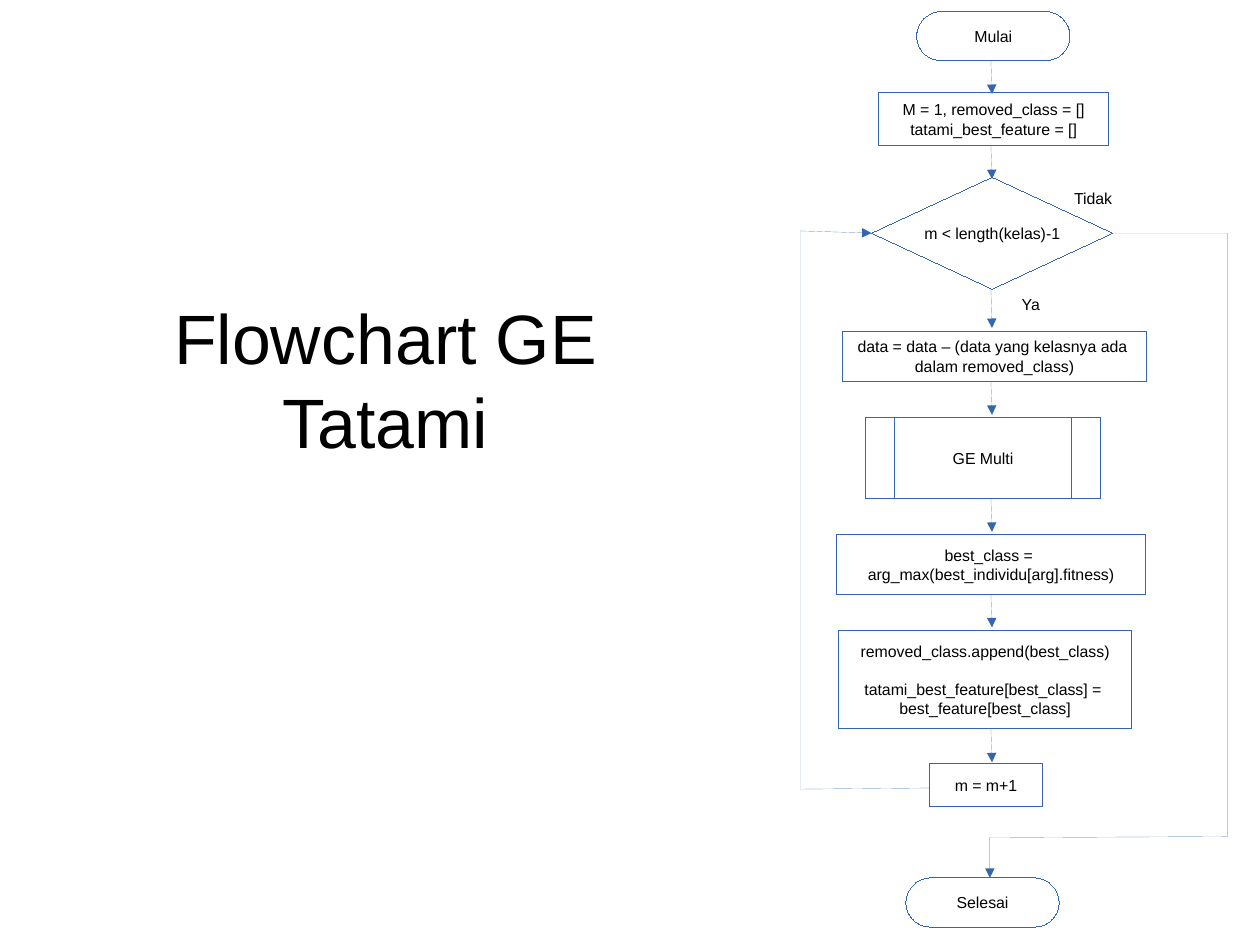
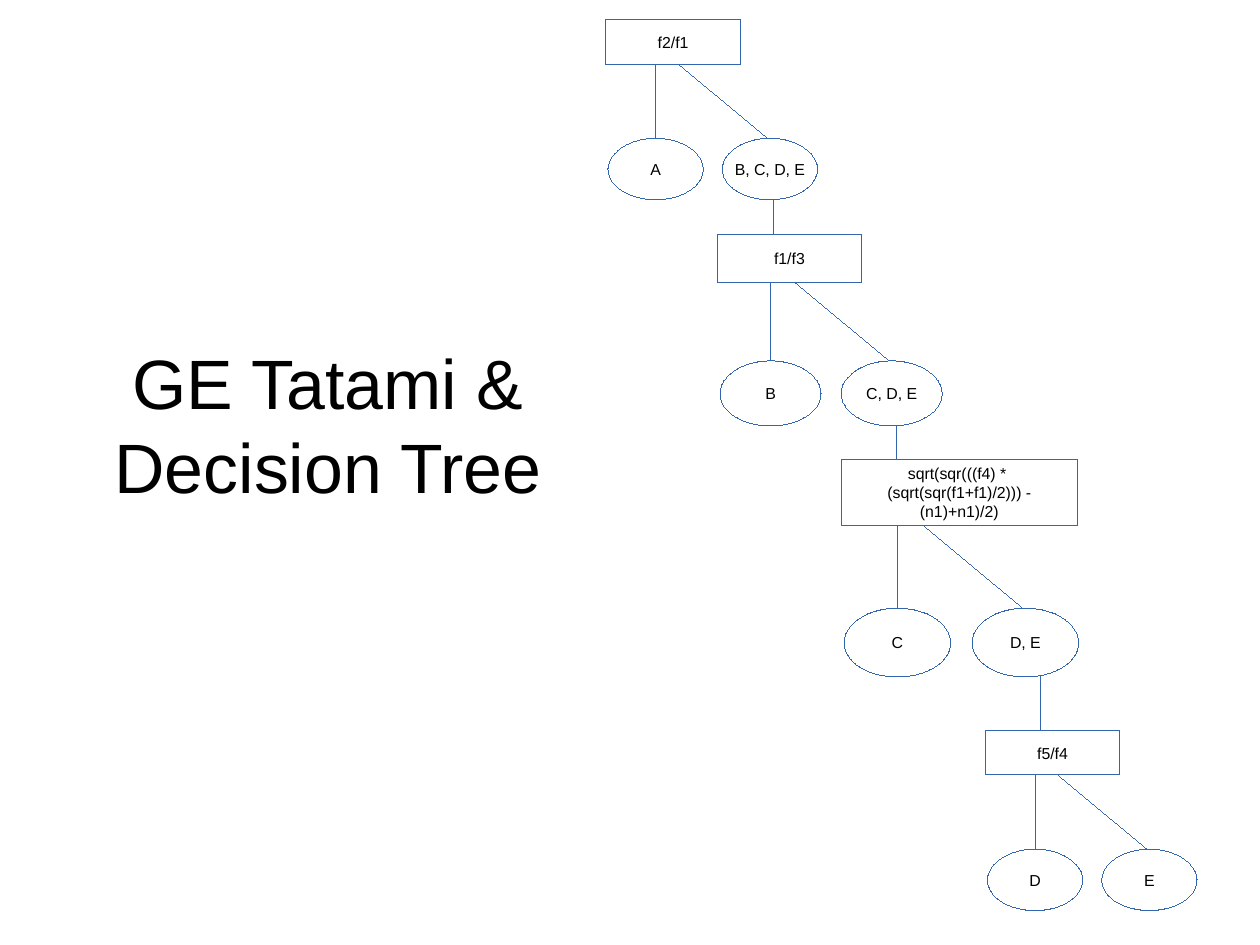
from itertools import pairwise

from pptx import Presentation
from pptx.dml.color import RGBColor
from pptx.enum.shapes import MSO_CONNECTOR, MSO_SHAPE
from pptx.enum.text import MSO_ANCHOR, MSO_AUTO_SIZE, PP_ALIGN
from pptx.oxml.ns import qn
from pptx.util import Pt
from lxml.etree import SubElement

BLACK = RGBColor(0x00, 0x00, 0x00)
BLUE = RGBColor(0x34, 0x65, 0xAF)
FONT = "Arial"
TITLE_SIZE, LABEL_SIZE = 44, 10
PARAGRAPH_GAP = 11.5

# Flowchart steps: shape, left, top, width, height, text
STEPS = [
    (MSO_SHAPE.FLOWCHART_TERMINATOR, 73.5, 0.2, 96.5, 31, "Mulai"),
    (MSO_SHAPE.FLOWCHART_PROCESS, 49.5, 51.3, 144.7, 33.5,
     "M = 1, removed_class = []\vtatami_best_feature = []"),
    (MSO_SHAPE.FLOWCHART_DECISION, 45, 104.6, 152, 70.5, "m < length(kelas)-1"),
    (MSO_SHAPE.FLOWCHART_PROCESS, 26.7, 201.6, 191.5, 31.5,
     "data = data – (data yang kelasnya ada \vdalam removed_class)"),
    (MSO_SHAPE.FLOWCHART_PREDEFINED_PROCESS, 41, 256.3, 148.5, 50.5, "GE Multi"),
    (MSO_SHAPE.FLOWCHART_PROCESS, 23, 330, 194.5, 37.2,
     "best_class = \varg_max(best_individu[arg].fitness)"),
    (MSO_SHAPE.FLOWCHART_PROCESS, 24, 390.2, 185, 62,
     "removed_class.append(best_class)\n"
     "tatami_best_feature[best_class] = \vbest_feature[best_class]"),
    (MSO_SHAPE.FLOWCHART_PROCESS, 81.5, 473.8, 71.2, 27.2, "m = m+1"),
]
FINISH = (MSO_SHAPE.FLOWCHART_TERMINATOR, 66.7, 546, 96.5, 31, "Selesai")
DECISION, INCREMENT = STEPS[2], STEPS[-1]

# Decision tree levels: left, top, width, height, scale, test, leaf, remainder
LEVELS = [
    (0, 0, 85, 28.2, 1, "f2/f1", "A", "B, C, D, E"),
    (70.5, 135.4, 90.5, 30.2, 1.06, "f1/f3", "B", "C, D, E"),
    (148.5, 277.4, 148.5, 41.2, 1.12,
     "sqrt(sqr(((f4) * \v(sqrt(sqr(f1+f1)/2))) -\v(n1)+n1)/2)", "C", "D, E"),
    (239, 447.8, 85, 28.2, 1, "f5/f4", "D", "E"),
]


def write(frame, text, size, align):
    """Fill a frame; a newline starts a paragraph, a vertical tab breaks a line."""
    for index, content in enumerate(text.split("\n")):
        paragraph = frame.add_paragraph() if index else frame.paragraphs[0]
        paragraph.text = content
        paragraph.alignment = align
        if index:
            paragraph.space_before = Pt(PARAGRAPH_GAP)
        paragraph.font.name = FONT
        paragraph.font.size = Pt(size)
        paragraph.font.color.rgb = BLACK


def add_title(slide, left, top, width, height, text):
    title = slide.shapes.add_textbox(Pt(left), Pt(top), Pt(width), Pt(height))
    frame = title.text_frame
    frame.word_wrap = True
    frame.auto_size = MSO_AUTO_SIZE.SHAPE_TO_FIT_TEXT
    frame.vertical_anchor = MSO_ANCHOR.MIDDLE
    frame.margin_left = frame.margin_right = frame.margin_top = frame.margin_bottom = 0
    write(frame, text, TITLE_SIZE, PP_ALIGN.CENTER)


def add_label(slide, left, top, width, height, text):
    label = slide.shapes.add_textbox(Pt(left), Pt(top), Pt(width), Pt(height))
    label.text_frame.word_wrap = True
    write(label.text_frame, text, LABEL_SIZE, PP_ALIGN.LEFT)


def style_line(shape, arrow):
    """Give a hairline; its zero width must be written out to override the theme."""
    shape.line.color.rgb = BLUE
    outline = shape.element.spPr.find(qn("a:ln"))
    outline.set("w", "0")
    if arrow:
        SubElement(outline, qn("a:tailEnd"), type="triangle")


def add_node(slide, kind, left, top, width, height, text):
    node = slide.shapes.add_shape(kind, Pt(left), Pt(top), Pt(width), Pt(height))
    node.shadow.inherit = False
    node.fill.background()
    style_line(node, arrow=False)
    node.text_frame.word_wrap = False
    node.text_frame.vertical_anchor = MSO_ANCHOR.MIDDLE
    write(node.text_frame, text, LABEL_SIZE, PP_ALIGN.CENTER)


def add_link(slide, x1, y1, x2, y2, arrow=False):
    link = slide.shapes.add_connector(
        MSO_CONNECTOR.STRAIGHT, Pt(x1), Pt(y1), Pt(x2), Pt(y2))
    style_line(link, arrow)
    SubElement(link.element.spPr, qn("a:effectLst"))


def add_route(slide, points):
    """Draw a bent arrow through the points."""
    start, *bends = [(Pt(x), Pt(y)) for x, y in points]
    builder = slide.shapes.build_freeform(*start)
    builder.add_line_segments(bends, close=False)
    route = builder.convert_to_shape()
    route.shadow.inherit = False
    route.fill.background()
    style_line(route, arrow=True)


def add_flowchart(slide, left, top, width):
    spine = left + 120.2
    for kind, x, y, w, h, text in STEPS + [FINISH]:
        add_node(slide, kind, left + x, top + y, w, h, text)

    for upper, lower in pairwise(STEPS):
        bottom = upper[2] + upper[4]
        length = max(21, lower[2] - bottom - 2)
        add_link(slide, spine, top + bottom, spine + 0.7, top + bottom + length,
                 arrow=True)

    _, decision_x, decision_y, decision_w, decision_h, _ = DECISION
    _, increment_x, increment_y, _, increment_h, _ = INCREMENT
    test_y = top + decision_y + decision_h / 2
    return_y = top + increment_y + increment_h / 2 + 2
    exit_y = top + 520
    add_route(slide, [(left + decision_x + decision_w, test_y), (left + width, test_y),
                      (left + width, exit_y), (spine - 0.7, exit_y + 0.7),
                      (spine - 0.7, top + FINISH[2])])
    add_route(slide, [(left + increment_x, return_y), (left, return_y + 0.7),
                      (left, test_y - 1.4), (left + decision_x, test_y)])
    add_label(slide, left + 165.5, top + 108, 44, 24.5, "Tidak")
    add_label(slide, left + 132.5, top + 175, 29.5, 20, "Ya")


def add_level(slide, left, top, width, height, scale, test, leaf, remainder):
    """Draw one test with its two outcomes; return the bottom of the outcomes."""
    add_node(slide, MSO_SHAPE.RECTANGLE, left, top, width, height, test)
    bottom = top + height
    outcome_top = bottom + 46.7 * scale
    outcome_w, outcome_h = 60 * scale, 38.7 * scale
    for text, outcome_x, stem_x, tip_x in ((leaf, 1.5, 31.7, 31.7),
                                           (remainder, 73.5, 46, 102.2)):
        add_link(slide, left + stem_x * scale, bottom,
                 left + tip_x * scale, outcome_top)
        add_node(slide, MSO_SHAPE.OVAL, left + outcome_x * scale, outcome_top,
                 outcome_w, outcome_h, text)
    return outcome_top + outcome_h


def add_tree(slide, left, top):
    previous_bottom = None
    for x, y, *details in LEVELS:
        if previous_bottom is not None:
            join_x = left + x + 35
            add_link(slide, join_x, previous_bottom, join_x, top + y)
        previous_bottom = add_level(slide, left + x, top + y, *details)


def main():
    deck = Presentation()
    deck.slide_width, deck.slide_height = Pt(793.7), Pt(595.28)
    blank = deck.slide_layouts[6]

    flowchart_slide = deck.slides.add_slide(blank)
    add_title(flowchart_slide, 46.8, 188.5, 392.4, 99.4, "Flowchart GE Tatami")
    add_flowchart(flowchart_slide, 504, 7, 269.2)

    tree_slide = deck.slides.add_slide(blank)
    add_title(tree_slide, 14.2, 217.3, 385, 99.4, "GE Tatami & Decision Tree")
    add_tree(tree_slide, 381.5, 12.2)

    deck.save("out.pptx")


if __name__ == "__main__":
    main()
